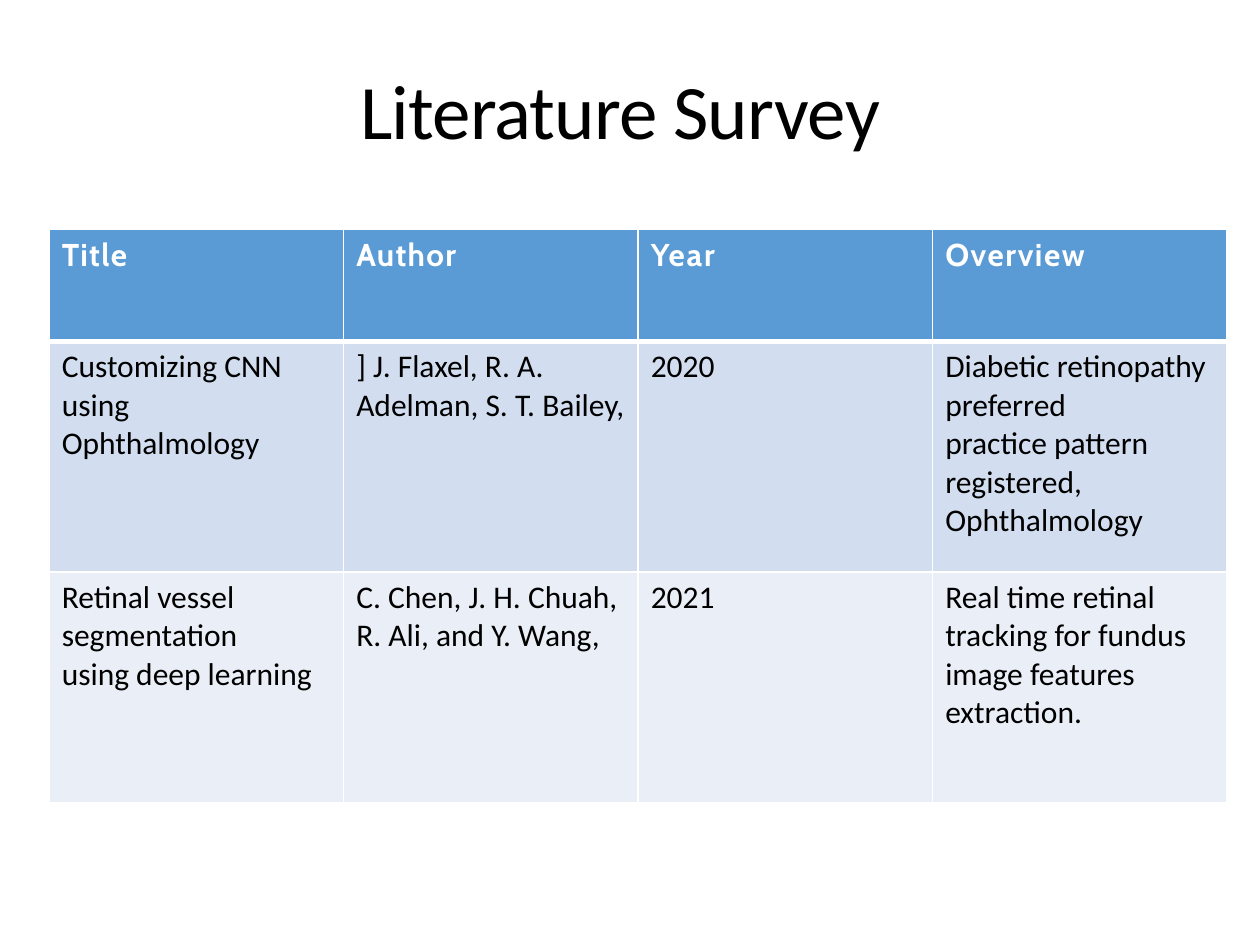
from lxml import etree
from pptx import Presentation
from pptx.dml.color import RGBColor
from pptx.enum.text import MSO_ANCHOR, PP_ALIGN
from pptx.oxml.ns import qn
from pptx.util import Inches, Pt

LEFT = PP_ALIGN.LEFT
TOP = MSO_ANCHOR.TOP
TITLE_ONLY = 5

WHITE, BLACK = "FFFFFF", "000000"
HEADER_BLUE = "5B9BD5"
BAND_FILLS = ["D2DEEF", "EAEFF7"]

# Each heading with its letter spacing in points
HEADINGS = [("Title", 0.8), ("Author", 0.8), ("Year", 1), ("Overview", 0.9)]

# Each cell is a list of paragraphs
PAPERS = [
    [
        ["Customizing CNN using Ophthalmology"],
        ["] J. Flaxel, R. A. Adelman, S. T. Bailey,"],
        ["2020"],
        ["Diabetic retinopathy preferred",
         "practice pattern registered, Ophthalmology"],
    ],
    [
        ["Retinal vessel segmentation", "using deep learning"],
        ["C. Chen, J. H. Chuah, R. Ali, and Y. Wang,"],
        ["2021"],
        ["Real time retinal tracking for fundus image features extraction."],
    ],
]


def color(hex_value):
    return RGBColor.from_string(hex_value)


class SurveySlide:
    body_font, heading_font = "Calibri", "Cabin"
    title_size, text_size = 44, 18

    def __init__(self, deck):
        self.slide = deck.slides.add_slide(deck.slide_layouts[TITLE_ONLY])

    def add_run(self, paragraph, text, size, font, hex_value, bold=False, spacing=0):
        run = paragraph.add_run()
        run.text = text
        run.font.size = Pt(size)
        run.font.name = font
        run.font.bold = bold
        run.font.color.rgb = color(hex_value)
        if spacing:
            run.font._element.set("spc", str(round(spacing * 100)))

    def title(self, pieces, left, top, width, height):
        heading = self.slide.shapes.title
        heading.left, heading.top = Inches(left), Inches(top)
        heading.width, heading.height = Inches(width), Inches(height)
        frame = heading.text_frame
        frame.vertical_anchor = TOP
        frame.margin_top = Inches(0.07)
        line = frame.paragraphs[0]
        line.alignment = LEFT
        line.line_spacing = 0.92
        for text, spacing in pieces:
            self.add_run(line, text, self.title_size, self.body_font, BLACK,
                         spacing=spacing)

    def borders(self, cell, bottom_width):
        properties = cell._tc.get_or_add_tcPr()
        widths = {"a:lnL": 1, "a:lnR": 1, "a:lnT": 1, "a:lnB": bottom_width}
        for position, (side, width) in enumerate(widths.items()):
            edge = etree.Element(qn(side), w=str(Pt(width)))
            fill = etree.SubElement(edge, qn("a:solidFill"))
            etree.SubElement(fill, qn("a:srgbClr"), val=WHITE)
            properties.insert(position, edge)

    def cell(self, cell, paragraphs, fill, bottom_width=1, **style):
        cell.fill.solid()
        cell.fill.fore_color.rgb = color(fill)
        self.borders(cell, bottom_width)
        frame = cell.text_frame
        for index, text in enumerate(paragraphs):
            line = frame.add_paragraph() if index else frame.paragraphs[0]
            self.add_run(line, text, self.text_size, **style)

    def table(self, headings, papers, left, top, width, row_heights):
        table = self.slide.shapes.add_table(
            len(row_heights), len(headings), Inches(left), Inches(top),
            Inches(width), Inches(sum(row_heights))).table
        for row, height in zip(table.rows, row_heights):
            row.height = Inches(height)

        # Header row
        for column, (text, spacing) in enumerate(headings):
            self.cell(table.cell(0, column), [text], HEADER_BLUE, bottom_width=3,
                      font=self.heading_font, hex_value=WHITE, bold=True,
                      spacing=spacing)

        # One banded row per paper
        for row, (paper, fill) in enumerate(zip(papers, BAND_FILLS), start=1):
            for column, paragraphs in enumerate(paper):
                self.cell(table.cell(row, column), paragraphs, fill,
                          font=self.body_font, hex_value=BLACK)

        # The top edge of the first paper row matches the header's thick rule
        for column in range(len(headings)):
            edge = table.cell(1, column)._tc.tcPr.find(qn("a:lnT"))
            edge.set("w", str(Pt(3)))


def main():
    deck = Presentation()
    deck.slide_width, deck.slide_height = Inches(10), Inches(7.5)
    survey = SurveySlide(deck)
    survey.table(HEADINGS, PAPERS, 0.39, 1.82, 9.35, [0.89, 1.83, 1.83])
    survey.title([("Literature Surve", -0.5), ("y", -0.6)], 2.76, 0.5, 5, 0.78)
    deck.save("out.pptx")


if __name__ == "__main__":
    main()
